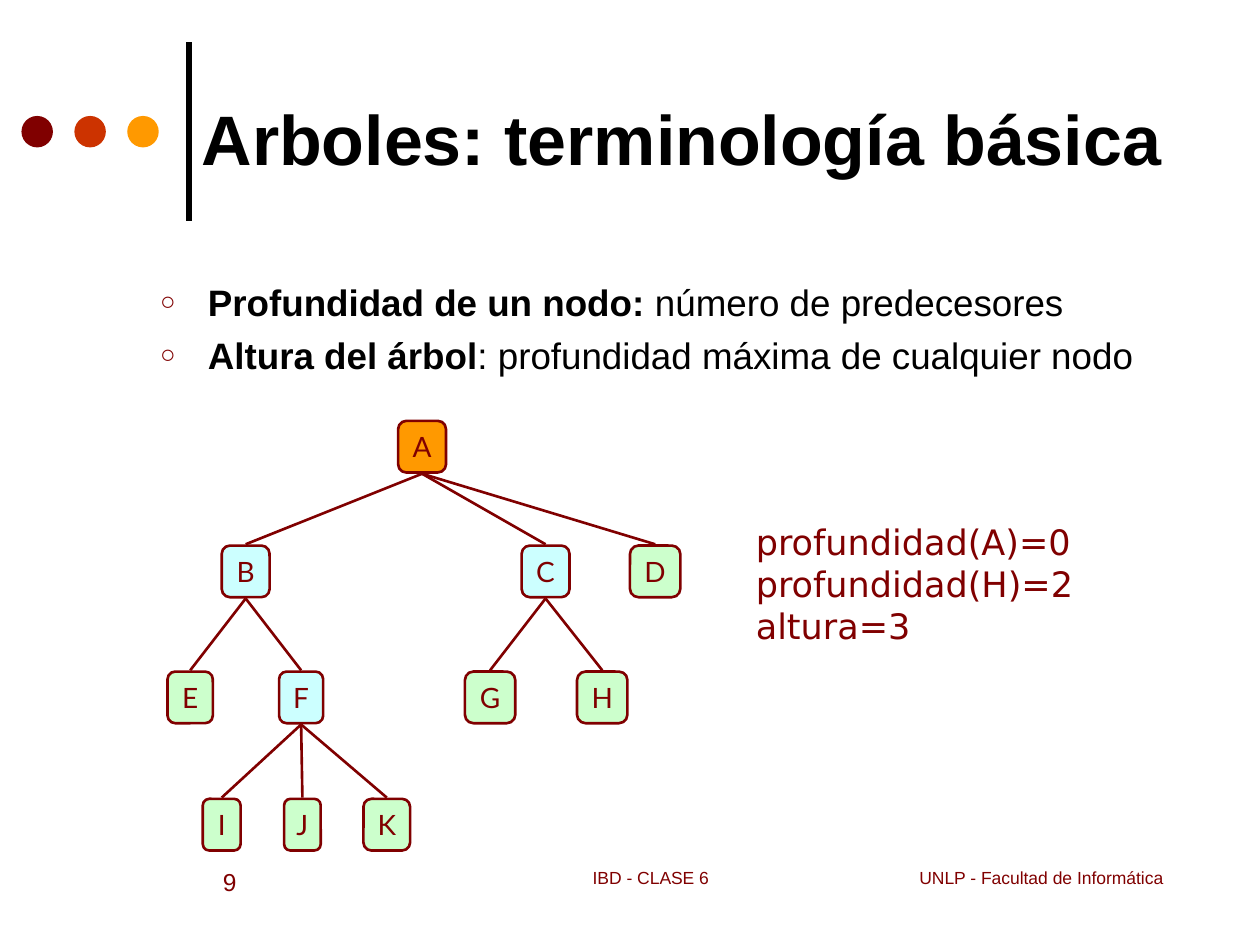
import pptx
import pptx.util
import pptx.dml.color
import pptx.enum.shapes
import pptx.enum.text
import pptx.oxml
import pptx.oxml.ns
from pptx.util import Inches

MAROON, BLACK, ORANGE = "800000", "000000", "FF9900"
INNER, LEAF = "CCFFFF", "CCFFCC"
SHAPE = pptx.enum.shapes.MSO_SHAPE
ALIGN = pptx.enum.text.PP_ALIGN
ANCHOR = pptx.enum.text.MSO_ANCHOR


def color(value):
    return pptx.dml.color.RGBColor.from_string(value)


def write(box, lines, size, font="Arial", fill=MAROON, align=ALIGN.LEFT,
          anchor=ANCHOR.TOP, wrap=True, before=0):
    """Fill a box with lines, each a list of (text, bold) spans."""
    frame = box.text_frame
    frame.auto_size = pptx.enum.text.MSO_AUTO_SIZE.NONE
    frame.word_wrap = wrap
    frame.vertical_anchor = anchor
    for index, line in enumerate(lines):
        para = frame.add_paragraph() if index else frame.paragraphs[0]
        para.alignment = align
        para.space_before = pptx.util.Pt(before)
        for text, bold in line:
            span = para.add_run()
            span.text = text
            span.font.name = font
            span.font.size = pptx.util.Pt(size)
            span.font.bold = bold
            span.font.color.rgb = color(fill)


deck = pptx.Presentation()
deck.slide_width, deck.slide_height = Inches(10), Inches(7.5)
page = deck.slides.add_slide(deck.slide_layouts[1])

# Title and definitions
title, body = page.placeholders
title.left, title.top, title.width, title.height = map(Inches, (1.5, 0.75, 8, 0.68))
write(title, [[("Arboles: terminología básica", True)]], 40, fill=BLACK, anchor=ANCHOR.MIDDLE)

body.left, body.top, body.width, body.height = map(Inches, (1.17, 2.17, 8.5, 4.33))
definitions = [
    [("Profundidad de un nodo: ", True), ("número de predecesores", False)],
    [("Altura del árbol", True), (": profundidad máxima de cualquier nodo", False)],
]
write(body, definitions, 21, fill=BLACK, before=5.2)
namespace = pptx.oxml.ns.nsdecls("a")
for para in body.text_frame.paragraphs:
    properties = para._p.get_or_add_pPr()
    properties.set("marL", str(Inches(0.38)))
    properties.set("indent", str(Inches(-0.38)))
    for bullet in (f'<a:buClr {namespace}><a:srgbClr val="{MAROON}"/></a:buClr>',
                   f'<a:buSzPct {namespace} val="70000"/>',
                   f'<a:buChar {namespace} char="○"/>'):
        properties.append(pptx.oxml.parse_xml(bullet))

# Dots beside the title
for index, fill in enumerate((MAROON, "CC3300", ORANGE)):
    dot = page.shapes.add_shape(SHAPE.OVAL, Inches(0.17 + 0.42 * index), Inches(0.92),
                                Inches(0.25), Inches(0.25))
    dot.shadow.inherit = False
    dot.fill.solid()
    dot.fill.fore_color.rgb = color(fill)
    dot.line.fill.background()

# Tree nodes: parent, centre, width, level, fill
nodes = {
    "A": (None, 3.35, 0.38, 0, ORANGE),
    "B": ("A", 1.95, 0.38, 1, INNER),
    "C": ("A", 4.33, 0.38, 1, INNER),
    "D": ("A", 5.2, 0.4, 1, LEAF),
    "E": ("B", 1.51, 0.36, 2, LEAF),
    "F": ("B", 2.39, 0.35, 2, INNER),
    "G": ("C", 3.89, 0.4, 2, LEAF),
    "H": ("C", 4.78, 0.4, 2, LEAF),
    "I": ("F", 1.76, 0.3, 3, LEAF),
    "J": ("F", 2.4, 0.29, 3, LEAF),
    "K": ("F", 3.07, 0.37, 3, LEAF),
}
level_tops = (3.34, 4.33, 5.33, 6.34)
node_height, gap = 0.41, 0.01
segments = [((1.5, 1.75), (1.5, 0.33), BLACK, 3)]  # rule beside the title

for name, (parent, centre, width, level, fill) in nodes.items():
    top = level_tops[level]
    node = page.shapes.add_shape(SHAPE.ROUNDED_RECTANGLE, Inches(centre - width / 2),
                                 Inches(top), Inches(width), Inches(node_height))
    node.adjustments[0] = 0.17
    node.shadow.inherit = False
    node.fill.solid()
    node.fill.fore_color.rgb = color(fill)
    node.line.color.rgb = color(MAROON)
    node.line.width = pptx.util.Pt(1.5)
    write(node, [[(name, False)]], 16, font="Lato", align=ALIGN.CENTER,
          anchor=ANCHOR.MIDDLE, wrap=False)
    if parent:
        parent_bottom = level_tops[level - 1] + node_height + gap
        segments.append(((nodes[parent][1], parent_bottom), (centre, top - gap), MAROON, 1.5))

for start, end, stroke, weight in segments:
    line = page.shapes.add_connector(pptx.enum.shapes.MSO_CONNECTOR.STRAIGHT,
                                     *map(Inches, start + end))
    line.line.color.rgb = color(stroke)
    line.line.width = pptx.util.Pt(weight)
    line._element.spPr.append(pptx.oxml.parse_xml(f"<a:effectLst {namespace}/>"))

# Results and footer
results = ["profundidad(A)=0", "profundidad(H)=2", "altura=3"]
for place, lines, size, font, align in (
    ((5.9, 4.08, 3.85, 1.1), results, 20, "DejaVu Sans", ALIGN.LEFT),
    ((1.67, 6.83, 1.42, 0.5), ["9"], 14, "Arial", ALIGN.LEFT),
    ((3.58, 6.83, 3.17, 0.5), ["IBD - CLASE 6"], 10, "Arial", ALIGN.CENTER),
    ((6.65, 6.83, 2.68, 0.5), ["UNLP - Facultad de Informática"], 10, "Arial", ALIGN.RIGHT),
):
    box = page.shapes.add_textbox(*map(Inches, place))
    write(box, [[(text, False)] for text in lines], size, font=font, align=align)

deck.save("out.pptx")
